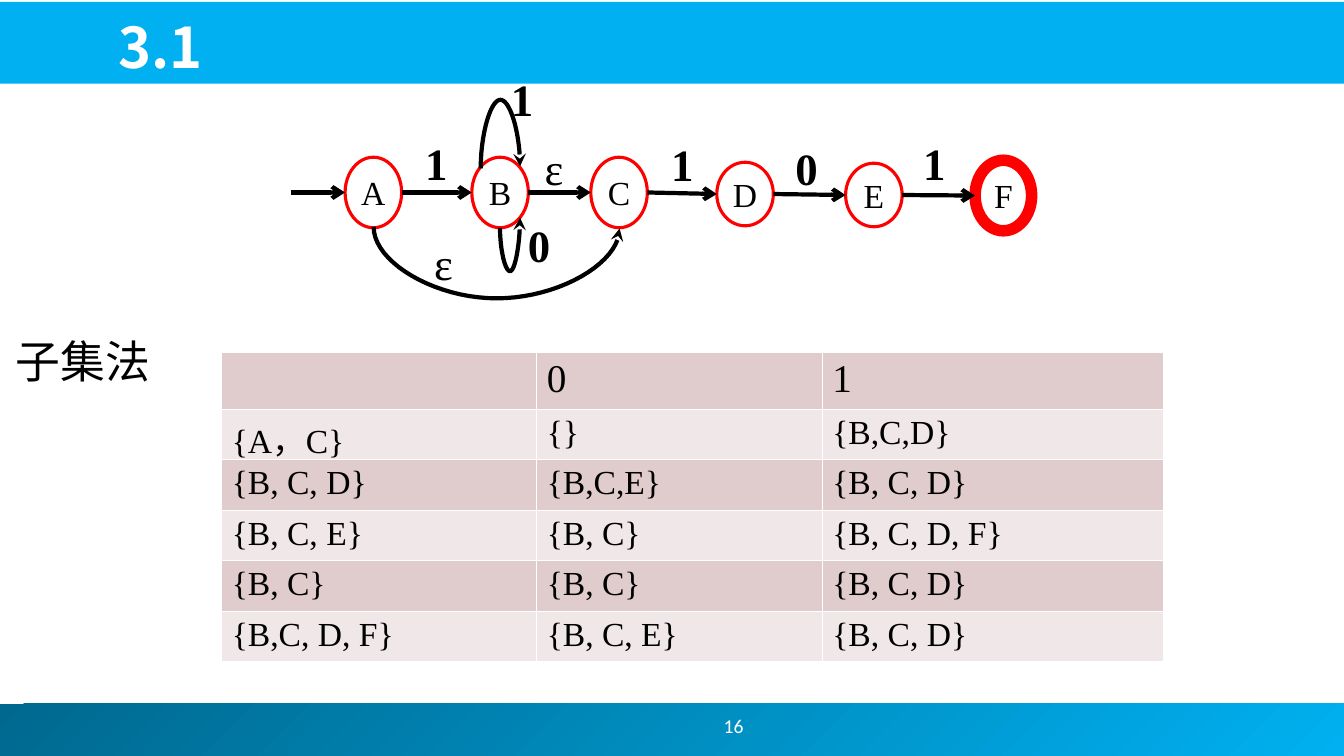
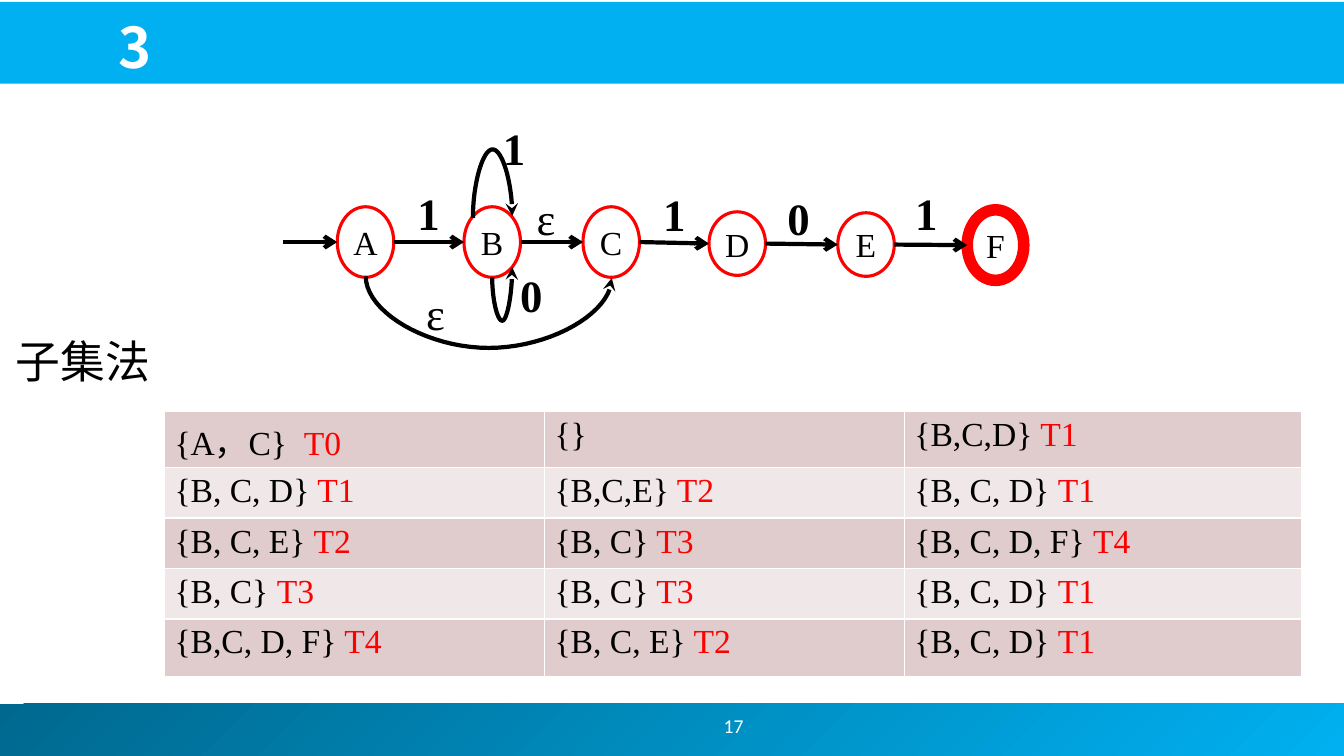
from lxml import etree
from pptx import Presentation
from pptx.dml.color import RGBColor
from pptx.enum.shapes import MSO_CONNECTOR, MSO_SHAPE
from pptx.enum.text import MSO_ANCHOR, PP_ALIGN
from pptx.oxml import parse_xml
from pptx.oxml.ns import nsdecls, qn
from pptx.util import Pt

STRAIGHT = MSO_CONNECTOR.STRAIGHT
RECTANGLE, OVAL = MSO_SHAPE.RECTANGLE, MSO_SHAPE.OVAL
TOP, MIDDLE, BOTTOM = MSO_ANCHOR.TOP, MSO_ANCHOR.MIDDLE, MSO_ANCHOR.BOTTOM
LEFT, CENTER = PP_ALIGN.LEFT, PP_ALIGN.CENTER

COLORS = {
    "band": "00B0F0", "band_dark": "00688E", "white": "FFFFFF",
    "ink": "000000", "red": "FF0000",
    "row_dark": "E0CCCD", "row_light": "F0E7E8",
}
SERIF, TITLE, SANS, FOOTER = "Times New Roman", "Noto Sans CJK JP", "Noto Sans", "Calibri"

STATE_WIDTH = 40.4
STATES = [
    ("A", 246.5, 112.3, 50.4, 2.25),
    ("B", 337, 112.3, 50.4, 2.25),
    ("C", 422, 112.3, 50.4, 2.25),
    ("D", 512, 115.9, 45.4, 2.25),
    ("E", 604, 116.6, 45.4, 2.25),
    ("F", 696.5, 114.5, 50.4, 8.25),
]
LABELS = [
    ("1", 357.8, 47.5), ("0", 370, 152), ("1", 296.6, 93.6), ("ε", 380.7, 97.2),
    ("1", 472.3, 94.3), ("0", 561, 97.2), ("1", 652.3, 93.6), ("ε", 301.8, 164.9),
]
ARCS = [
    ((357.2, 162.7), (371.5, 155.5), 193.7),
    ((266.9, 162), (442.6, 163.2), 213.1),
    ((343.4, 120.2), (371.5, 118.8), 71.3),
]
SUBSETS = [
    ["", "0", "1"],
    ["{A，C}", "{}", "{B,C,D}"],
    ["{B, C, D}", "{B,C,E}", "{B, C, D}"],
    ["{B, C, E}", "{B, C}", "{B, C, D, F}"],
    ["{B, C}", "{B, C}", "{B, C, D}"],
    ["{B,C, D, F}", "{B, C, E}", "{B, C, D}"],
]
NAMED_SUBSETS = [
    ["{A，C}  |T0", "{}", "{B,C,D}| T1"],
    ["{B, C, D}| T1", "{B,C,E}| T2", "{B, C, D} |T1"],
    ["{B, C, E}| T2", "{B, C}| T3", "{B, C, D, F} |T4"],
    ["{B, C} |T3", "{B, C}| T3", "{B, C, D} |T1"],
    ["{B,C, D, F}| T4", "{B, C, E}| T2", "{B, C, D} |T1"],
]


def rgb(name):
    return RGBColor.from_string(COLORS[name])


def set_font(font, name, size, color, bold=False):
    font.name, font.size, font.bold = name, Pt(size), bold
    font.color.rgb = rgb(color)


def write(frame, text, name, size, color="ink", bold=False, align=CENTER,
          anchor=TOP, wrap=False):
    frame.word_wrap = wrap
    frame.vertical_anchor = anchor
    para = frame.paragraphs[0]
    para.alignment = align
    para.add_run().text = text
    set_font(para.font, name, size, color, bold)
    set_font(para.runs[0].font, name, size, color, bold)
    return para


def add_text(page, place, text, name, size, **style):
    box = page.shapes.add_textbox(*map(Pt, place))
    return write(box.text_frame, text, name, size, **style)


def add_band(page, place):
    band = page.shapes.add_shape(RECTANGLE, *map(Pt, place))
    band.shadow.inherit = False
    band.line.fill.background()
    return band.fill


def add_frame(page, title, number):
    footer = add_band(page, (-3.6, 502.6, 964, 37.4))
    footer.gradient()
    footer.gradient_angle = 315
    for stop, color in zip(footer.gradient_stops, ("band_dark", "band")):
        stop.color.rgb = rgb(color)
    header = add_band(page, (-1.4, 1.4, 962, 58.3))
    header.solid()
    header.fore_color.rgb = rgb("band")
    add_text(page, (420, 500.4, 208, 36), number, FOOTER, 14, color="white",
             anchor=MIDDLE, wrap=True)
    add_text(page, (77.8, 3.6, 850, 56.9), title, TITLE, 40, color="white",
             bold=True, align=LEFT, anchor=BOTTOM, wrap=True)
    method = add_text(page, (4.3, 234.7, 111.6, 46), "子集法", SANS, 32, align=LEFT)
    east_asian = etree.SubElement(method.runs[0].font._element, qn("a:ea"))
    east_asian.set("typeface", SANS)


def style_arrow(arrow, head):
    arrow.line.color.rgb = rgb("ink")
    arrow.line.width = Pt(3)
    etree.SubElement(arrow.line._get_or_add_ln(), qn("a:tailEnd")).set("type", head)


def add_arrow(page, x1, y1, x2, y2):
    arrow = page.shapes.add_connector(STRAIGHT, Pt(x1), Pt(y1), Pt(x2), Pt(y2))
    style_arrow(arrow, "arrow")
    etree.SubElement(arrow._element.spPr, qn("a:effectLst"))


def bezier(controls, steps=20):
    for step in range(1, steps + 1):
        t = step / steps
        weights = ((1 - t) ** 3, 3 * t * (1 - t) ** 2, 3 * t * t * (1 - t), t ** 3)
        yield tuple(Pt(sum(w * point[axis] for w, point in zip(weights, controls)))
                    for axis in (0, 1))


def add_arc(page, start, end, apex):
    (x1, y1), (x2, y2) = start, end
    quarter = (x2 - x1) / 4
    peak = (x1 + 2 * quarter, apex)
    rise = [start, (x1, (y1 + apex) / 2), (x1 + quarter, apex), peak]
    fall = [peak, (x2 - quarter, apex), (x2, (y2 + apex) / 2), end]
    outline = page.shapes.build_freeform(Pt(x1), Pt(y1))
    outline.add_line_segments([*bezier(rise), *bezier(fall)], close=False)
    arc = outline.convert_to_shape()
    arc.fill.background()
    arc.shadow.inherit = False
    style_arrow(arc, "stealth")


def add_state(page, name, left, top, height, weight):
    state = page.shapes.add_shape(OVAL, Pt(left), Pt(top), Pt(STATE_WIDTH), Pt(height))
    state.shadow.inherit = False
    state.fill.background()
    state.line.color.rgb = rgb("red")
    state.line.width = Pt(weight)
    write(state.text_frame, name, SERIF, 24, anchor=MIDDLE)


def add_automaton(page, dx=0, dy=0):
    for name, left, top, height, weight in STATES:
        add_state(page, name, left + dx, top + dy, height, weight)
    middles = [(left + dx, top + height / 2 + dy) for _, left, top, height, _ in STATES]
    first_x, first_y = middles[0]
    add_arrow(page, first_x - 38.5, first_y, first_x, first_y)
    for (x1, y1), (x2, y2) in zip(middles, middles[1:]):
        add_arrow(page, x1 + STATE_WIDTH, y1, x2, y2)
    for (x1, y1), (x2, y2), apex in ARCS:
        add_arc(page, (x1 + dx, y1 + dy), (x2 + dx, y2 + dy), apex + dy)
    for text, left, top in LABELS:
        add_text(page, (left + dx, top + dy, 30, 46), text, SERIF, 32, bold=text != "ε")


def fill_cell(cell, text, size, color):
    properties = cell._tc.get_or_add_tcPr()
    for side in ("lnL", "lnR", "lnT", "lnB"):
        properties.append(parse_xml(
            f'<a:{side} {nsdecls("a")} w="12700"><a:solidFill>'
            f'<a:srgbClr val="{COLORS["white"]}"/></a:solidFill></a:{side}>'))
    cell.fill.solid()
    cell.fill.fore_color.rgb = rgb(color)
    para = cell.text_frame.paragraphs[0]
    set_font(para.font, SERIF, size, "ink")
    for part, ink in zip(text.split("|"), ("ink", "red")):
        if part:
            span = para.add_run()
            span.text = part
            set_font(span.font, SERIF, size, ink)


def add_subset_table(page, left, top, widths, heights, rows, first_size=24):
    table = page.shapes.add_table(len(rows), len(widths), Pt(left), Pt(top),
                                  Pt(sum(widths)), Pt(sum(heights))).table
    table.first_row = table.horz_banding = False
    for column, width in zip(table.columns, widths):
        column.width = Pt(width)
    for index, (row, height, texts) in enumerate(zip(table.rows, heights, rows)):
        row.height = Pt(height)
        color = "row_light" if index % 2 else "row_dark"
        for cell, text in zip(row.cells, texts):
            fill_cell(cell, text, 24 if index else first_size, color)


def main():
    deck = Presentation()
    deck.slide_width, deck.slide_height = Pt(960), Pt(540)
    blank = deck.slide_layouts[6]

    page = deck.slides.add_slide(blank)
    add_frame(page, "3.1", "16")
    add_subset_table(page, 158.4, 251.6, (225, 204, 243.5), [40] + [36] * 5, SUBSETS, 28)
    add_automaton(page)

    page = deck.slides.add_slide(blank)
    add_frame(page, "3", "17")
    add_subset_table(page, 117.5, 294, (271.5, 257, 283.5),
                     [40, 36, 36, 36, 41.5], NAMED_SUBSETS)
    add_automaton(page, -5.6, 35.4)

    deck.save("out.pptx")


if __name__ == "__main__":
    main()
